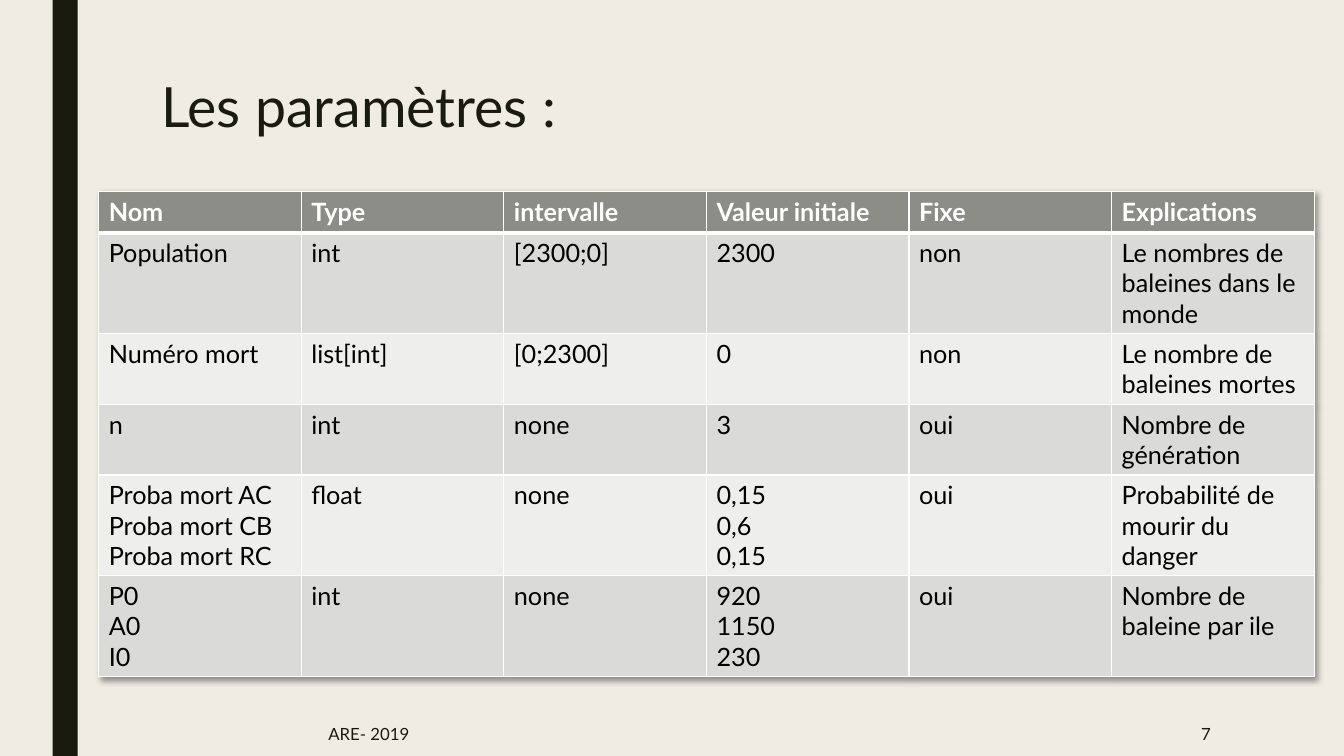
from pptx import Presentation, oxml
from pptx.dml.color import RGBColor
from pptx.enum import shapes, text
from pptx.oxml import ns
from pptx.util import Pt

INK = RGBColor(0x19, 0x1B, 0x0E)
CREAM = RGBColor(0xEF, 0xED, 0xE3)
WHITE = RGBColor(0xFF, 0xFF, 0xFF)
BLACK = RGBColor(0, 0, 0)
HEADER = RGBColor(0x8C, 0x8D, 0x86)
BANDS = (RGBColor(0xEE, 0xEE, 0xED), RGBColor(0xDA, 0xDB, 0xD9))

ROWS = [
    ["Nom", "Type", "intervalle", "Valeur initiale", "Fixe", "Explications"],
    ["Population", "int", "[2300;0]", "2300", "non",
     "Le nombres de baleines dans le monde"],
    ["Numéro mort", "list[int]", "[0;2300]", "0", "non",
     "Le nombre de baleines mortes"],
    ["n", "int", "none", "3", "oui", "Nombre de génération"],
    ["Proba mort AC\nProba mort CB\nProba mort RC", "float", "none",
     "0,15\n0,6\n0,15", "oui", "Probabilité de mourir du danger"],
    ["P0\nA0\nI0", "int", "none", "920\n1150\n230", "oui",
     "Nombre de baleine par ile"],
]
ROW_HEIGHTS = [29.5, 72, 50.5, 50.5, 72, 72]


class PageBuilder:
    """Holds the style and the page being built; lengths are in points."""

    font = "Lato"

    def __init__(self, deck):
        self.page = deck.slides.add_slide(deck.slide_layouts[5])
        fill = self.page.background.fill
        fill.solid()
        fill.fore_color.rgb = CREAM

    def add_words(self, frame, words, size, color, bold=False, align=None):
        for index, line in enumerate(words.split("\n")):
            para = frame.add_paragraph() if index else frame.paragraphs[0]
            para.alignment = align
            span = para.add_run()
            span.text = line
            span.font.name = self.font
            span.font.size = Pt(size)
            span.font.bold = bold
            span.font.color.rgb = color

    def title(self, words, left, top, width, height):
        box = self.page.shapes.title
        box.left, box.top, box.width, box.height = map(
            Pt, (left, top, width, height))
        frame = box.text_frame
        frame.auto_size = text.MSO_AUTO_SIZE.NONE
        frame.vertical_anchor = text.MSO_ANCHOR.TOP
        self.add_words(frame, words, 39.6, INK, align=text.PP_ALIGN.LEFT)
        frame.paragraphs[0].line_spacing = 0.89

    def bar(self, left, top, width, height):
        box = self.page.shapes.add_shape(
            shapes.MSO_SHAPE.RECTANGLE, *map(Pt, (left, top, width, height)))
        box.shadow.inherit = False
        box.fill.solid()
        box.fill.fore_color.rgb = INK
        box.line.fill.background()

    def label(self, words, left, top, width, height, align):
        box = self.page.shapes.add_textbox(
            *map(Pt, (left, top, width, height)))
        frame = box.text_frame
        frame.word_wrap = True
        frame.vertical_anchor = text.MSO_ANCHOR.MIDDLE
        self.add_words(frame, words, 12, INK, align=align)

    def borders(self, cell, bottom):
        properties = cell._tc.get_or_add_tcPr()
        for side, width in (("L", 1), ("R", 1), ("T", 1), ("B", bottom)):
            properties.append(oxml.parse_xml(
                f'<a:ln{side} {ns.nsdecls("a")} w="{Pt(width)}"><a:solidFill>'
                f'<a:srgbClr val="{WHITE}"/></a:solidFill></a:ln{side}>'))

    def table(self, rows, heights, left, top, width):
        grid = self.page.shapes.add_table(
            len(rows), len(rows[0]),
            *map(Pt, (left, top, width, sum(heights)))).table
        # Soft shadow below the table
        grid._tbl.tblPr.insert(0, oxml.parse_xml(
            f'<a:effectLst {ns.nsdecls("a")}><a:outerShdw blurRad="50800" '
            'dist="38100" dir="2700000" algn="tl"><a:srgbClr val="000000">'
            '<a:alpha val="40000"/></a:srgbClr></a:outerShdw></a:effectLst>'))
        for column in grid.columns:
            column.width = Pt(width / len(rows[0]))
        for index, (row, height) in enumerate(zip(rows, heights)):
            is_header = index == 0
            grid.rows[index].height = Pt(height)
            for cell, words in zip(grid.rows[index].cells, row):
                self.borders(cell, 3 if is_header else 1)
                cell.fill.solid()
                cell.fill.fore_color.rgb = (
                    HEADER if is_header else BANDS[index % 2])
                self.add_words(cell.text_frame, words, 18,
                               WHITE if is_header else BLACK, is_header)


def main():
    deck = Presentation()
    deck.slide_width, deck.slide_height = Pt(960), Pt(540)
    builder = PageBuilder(deck)

    # Side bar and title
    builder.bar(37.5, 0, 18, 540)
    builder.title("Les paramètres :", 108, 54, 310, 57.6)

    # Parameter table
    builder.table(ROWS, ROW_HEIGHTS, 70.5, 136.8, 868.3)

    # Footer and page number
    builder.label("ARE- 2019", 227.5, 508.3, 494.6, 31.7, text.PP_ALIGN.LEFT)
    builder.label("7", 746, 508.3, 126, 31.7, text.PP_ALIGN.RIGHT)

    deck.save("out.pptx")


if __name__ == "__main__":
    main()
